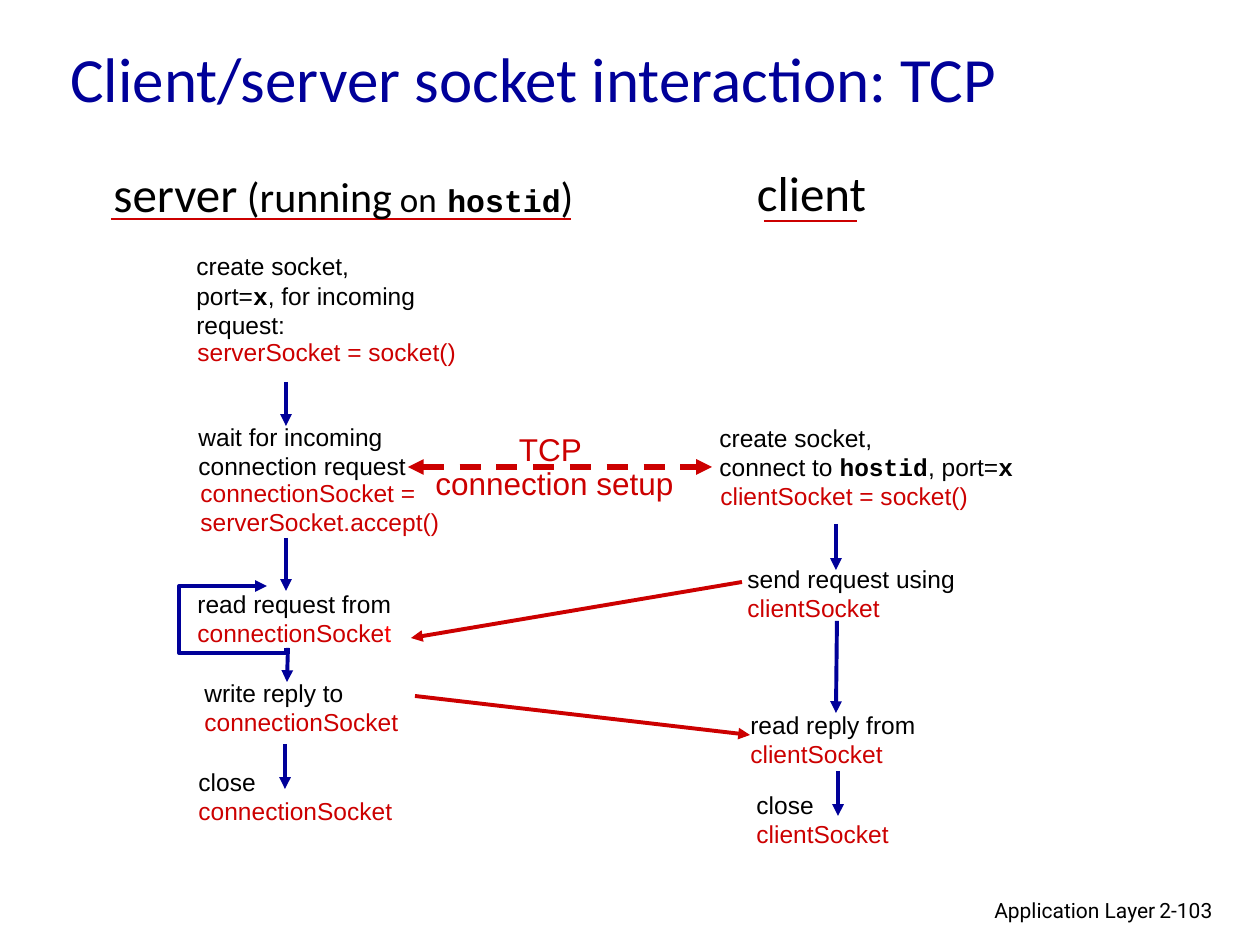
from dataclasses import dataclass

from lxml import etree
from pptx import Presentation
from pptx import util as u
from pptx.dml.color import RGBColor
from pptx.enum import dml, shapes, text
from pptx.oxml import ns

EMU_PER_PX = 914400 / 126

BLACK = RGBColor(0x00, 0x00, 0x00)
NAVY = RGBColor(0x00, 0x00, 0x99)
RED = RGBColor(0xCC, 0x00, 0x00)
BRIGHT_RED = RGBColor(0xFF, 0x00, 0x00)

LEFT = text.PP_ALIGN.LEFT
CENTER = text.PP_ALIGN.CENTER
RIGHT = text.PP_ALIGN.RIGHT
MIDDLE = text.MSO_ANCHOR.MIDDLE
TOP = text.MSO_ANCHOR.TOP


@dataclass(frozen=True)
class Style:
    size: int = 14
    color: RGBColor = BLACK
    face: str = "Arial"
    bold: bool = False


PLAIN = Style()
CODE = Style(color=RED)
CODE_END = Style(color=BRIGHT_RED)
MONO = Style(face="Courier New", bold=True)
SETUP = Style(18, RED)
FOOTER = Style(12, face="Roboto")
HEADING = Style(28, face="Calibri")
TITLE = Style(36, NAVY, "Calibri")

Run = tuple[str, Style]


@dataclass(frozen=True)
class Label:
    left: int
    top: int
    width: int
    height: int
    lines: list[list[Run]]
    align: text.PP_ALIGN = LEFT
    anchor: text.MSO_ANCHOR = MIDDLE
    wrap: bool = False
    grow: bool = True
    space_before: float = 0
    line_spacing: float = 1.0


@dataclass(frozen=True)
class Line:
    start: tuple[int, int]
    end: tuple[int, int]
    color: RGBColor = NAVY
    weight: float = 2.25
    head: bool = False
    tail: bool = True
    dashed: bool = False


def step(left: int, top: int, width: int, action: str, *socket: Run) -> Label:
    return Label(left, top, width, 72, [[(action, PLAIN)], list(socket)])


SERVER_SOCKET = ("connectionSocket", CODE)
CLIENT_SOCKET = ("clientSocket", CODE)

LABELS = [
    Label(769, 891, 399, 39, [[("Application Layer", FOOTER)]],
          align=RIGHT, anchor=TOP, wrap=True, grow=False),
    Label(1147, 891, 93, 38, [[("2-103", FOOTER)]],
          anchor=TOP, wrap=True, grow=False),
    Label(58, 12, 1071, 131,
          [[("Client/server socket interaction: TCP", TITLE)]],
          wrap=True, grow=False),
    Label(74, 157, 539, 72, [[
        ("server", HEADING),
        (" (running", Style(24, face="Calibri")),
        (" on", Style(20, face="Calibri")),
        (" ", Style(18, face="Comic Neue")),
        ("hostid", Style(18, face="Courier New", bold=True)),
        (")", Style(24, face="Calibri")),
    ]], align=CENTER, space_before=15),
    Label(737, 156, 149, 72, [[("client", HEADING)]],
          align=CENTER, space_before=17.5),
    Label(184, 245, 266, 101, [
        [("create socket,", PLAIN)],
        [("port=", PLAIN), ("x", MONO), (", for incoming request:", PLAIN)],
    ], wrap=True),
    Label(185, 330, 324, 43, [[("serverSocket = socket()", CODE)]],
          wrap=True, space_before=3.5),
    step(186, 415, 233, "wait for incoming", ("connection request", PLAIN)),
    Label(188, 471, 280, 72,
          [[("connectionSocket =", CODE)], [("serverSocket.accept()", CODE)]],
          wrap=True),
    step(185, 582, 219, "read request from",
         ("connectionSocke", CODE), ("t", CODE_END)),
    step(192, 671, 219, "write reply to", SERVER_SOCKET),
    step(186, 760, 219, "close", SERVER_SOCKET),
    step(707, 416, 319, "create socket,", ("connect to ", PLAIN),
         ("hostid", MONO), (", port=", PLAIN), ("x", MONO)),
    Label(708, 474, 325, 43, [[("clientSocket = socket()", CODE)]], wrap=True),
    step(735, 557, 233, "send request using", CLIENT_SOCKET),
    step(738, 703, 190, "read reply from", CLIENT_SOCKET),
    step(744, 783, 158, "close", CLIENT_SOCKET),
    Label(423, 428, 263, 81, [[("TCP ", SETUP)], [("connection setup", SETUP)]],
          align=CENTER, line_spacing=0.9),
]

LINES = [
    Line((111, 219), (571, 219), RED, 1.5, tail=False),
    Line((764, 221), (857, 221), RED, 1.5, tail=False),
    Line((286, 382), (286, 426)),
    Line((286, 538), (286, 591)),
    Line((288, 648), (287, 682)),
    Line((285, 744), (285, 789)),
    Line((836, 524), (836, 570)),
    Line((837, 621), (836, 713)),
    Line((838, 771), (838, 816)),
    Line((742, 582), (411, 638), RED),
    Line((415, 696), (750, 735), RED),
    Line((408, 467), (712, 467), RED, 3, head=True, dashed=True),
]

READ_LOOP = [(286, 648), (286, 653), (179, 653), (179, 586), (267, 586)]


def px(length: int) -> u.Emu:
    return u.Emu(round(length * EMU_PER_PX))


def add_label(slide, label: Label) -> None:
    box = slide.shapes.add_textbox(
        px(label.left), px(label.top), px(label.width), px(label.height))
    frame = box.text_frame
    frame.word_wrap = label.wrap
    frame.vertical_anchor = label.anchor
    frame.auto_size = (text.MSO_AUTO_SIZE.SHAPE_TO_FIT_TEXT if label.grow
                       else text.MSO_AUTO_SIZE.NONE)
    for index, runs in enumerate(label.lines):
        paragraph = frame.add_paragraph() if index else frame.paragraphs[0]
        paragraph.alignment = label.align
        paragraph.space_before = u.Pt(label.space_before)
        paragraph.line_spacing = label.line_spacing
        for words, style in runs:
            run = paragraph.add_run()
            run.text = words
            run.font.name = style.face
            run.font.size = u.Pt(style.size)
            run.font.bold = style.bold
            run.font.color.rgb = style.color


def add_arrowhead(line_format, end: str) -> None:
    etree.SubElement(line_format._get_or_add_ln(), ns.qn(f"a:{end}"),
                     type="triangle")


def add_line(slide, line: Line) -> None:
    connector = slide.shapes.add_connector(
        shapes.MSO_CONNECTOR.STRAIGHT, *map(px, line.start + line.end))
    connector.line.color.rgb = line.color
    connector.line.width = u.Pt(line.weight)
    if line.dashed:
        connector.line.dash_style = dml.MSO_LINE.DASH
    if line.head:
        add_arrowhead(connector.line, "headEnd")
    if line.tail:
        add_arrowhead(connector.line, "tailEnd")
    etree.SubElement(connector._element.spPr, ns.qn("a:effectLst"))


def add_loop(slide, points: list[tuple[int, int]]) -> None:
    builder = slide.shapes.build_freeform(*points[0], scale=EMU_PER_PX)
    builder.add_line_segments(points[1:], close=False)
    shape = builder.convert_to_shape()
    shape.shadow.inherit = False
    shape.fill.background()
    shape.line.color.rgb = NAVY
    shape.line.width = u.Pt(2.25)
    add_arrowhead(shape.line, "tailEnd")


def main() -> None:
    presentation = Presentation()
    presentation.slide_width = px(1260)
    presentation.slide_height = px(945)
    slide = presentation.slides.add_slide(presentation.slide_layouts[6])
    for line in LINES:
        add_line(slide, line)
    add_loop(slide, READ_LOOP)
    for label in LABELS:
        add_label(slide, label)
    presentation.save("out.pptx")


if __name__ == "__main__":
    main()
